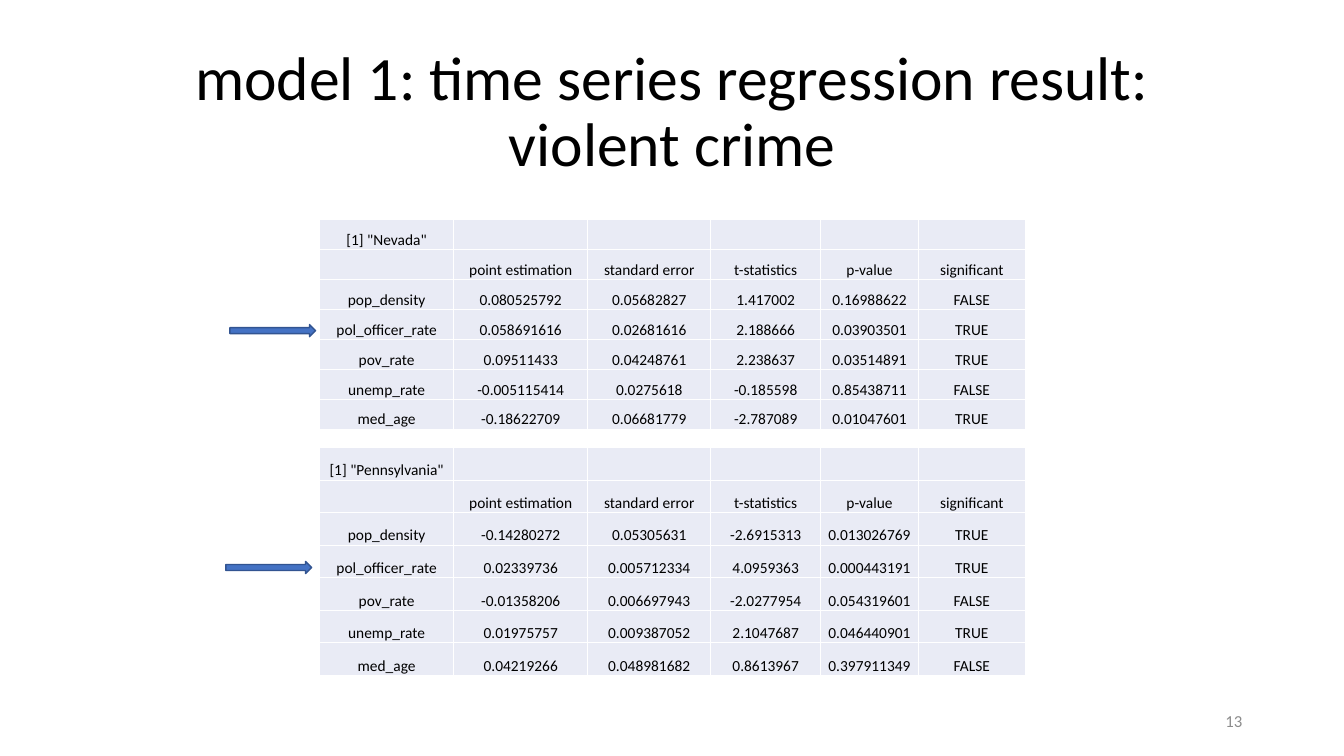
"""Build a slide with two regression result tables and arrows marking the police officer rate."""
from lxml.etree import SubElement
from pptx import Presentation
from pptx.dml.color import RGBColor
from pptx.enum.shapes import MSO_SHAPE
from pptx.enum.text import MSO_ANCHOR, PP_ALIGN
from pptx.oxml.ns import qn
from pptx.util import Inches, Pt

THEME = dict(font="Calibri", title=44, number=12, cell=11, ink="000000", muted="8C8C8C",
             band="E9EBF5", grid="FFFFFF", arrow="4472C4", edge="325491")
TITLE = "model 1: time series regression result:\nviolent crime"
NUMBER = "13"
HEADER = ["", "point estimation", "standard error", "t-statistics", "p-value", "significant"]
MARKED = "pol_officer_rate"
RESULTS = [
    dict(state="Nevada", top=2.18, height=2.08, arrow_left=2.28, rows=[
        ("pop_density", "0.080525792", "0.05682827", "1.417002", "0.16988622", "FALSE"),
        ("pol_officer_rate", "0.058691616", "0.02681616", "2.188666", "0.03903501", "TRUE"),
        ("pov_rate", "0.09511433", "0.04248761", "2.238637", "0.03514891", "TRUE"),
        ("unemp_rate", "-0.005115414", "0.0275618", "-0.185598", "0.85438711", "FALSE"),
        ("med_age", "-0.18622709", "0.06681779", "-2.787089", "0.01047601", "TRUE"),
    ]),
    dict(state="Pennsylvania", top=4.44, height=2.26, arrow_left=2.24, rows=[
        ("pop_density", "-0.14280272", "0.05305631", "-2.6915313", "0.013026769", "TRUE"),
        ("pol_officer_rate", "0.02339736", "0.005712334", "4.0959363", "0.000443191", "TRUE"),
        ("pov_rate", "-0.01358206", "0.006697943", "-2.0277954", "0.054319601", "FALSE"),
        ("unemp_rate", "0.01975757", "0.009387052", "2.1047687", "0.046440901", "TRUE"),
        ("med_age", "0.04219266", "0.048981682", "0.8613967", "0.397911349", "FALSE"),
    ]),
]
TABLE_LEFT = 3.17
COLUMNS = [1.33, 1.33, 1.22, 1.09, 0.97, 1.06]
ARROW_W, ARROW_H = 0.85, 0.12


def color(name):
    return RGBColor.from_string(THEME[name])


def write(tf, text, size, ink="ink", align=PP_ALIGN.CENTER, spacing=None):
    p = tf.paragraphs[0]
    p.text = text
    p.alignment = align
    p.line_spacing = spacing
    for r in p.runs:
        r.font.name = THEME["font"]
        r.font.size = Pt(THEME[size])
        r.font.color.rgb = color(ink)
    if not text:
        SubElement(p._p, qn("a:endParaRPr"), sz=str(THEME[size] * 100))


def add_text(slide, box, text, size, **fmt):
    tf = slide.shapes.add_textbox(*map(Inches, box)).text_frame
    tf.word_wrap = True
    tf.vertical_anchor = MSO_ANCHOR.MIDDLE
    write(tf, text, size, **fmt)


def style_cell(cell):
    cell.vertical_anchor = MSO_ANCHOR.BOTTOM
    cell.margin_left = cell.margin_right = cell.margin_top = Inches(0.01)
    cell.margin_bottom = 0
    tcPr = cell._tc.get_or_add_tcPr()
    for side in ("lnL", "lnR", "lnT", "lnB"):
        ln = SubElement(tcPr, qn(f"a:{side}"), w=str(Pt(1)))
        SubElement(SubElement(ln, qn("a:solidFill")), qn("a:srgbClr"), val=THEME["grid"])
    cell.fill.solid()
    cell.fill.fore_color.rgb = color("band")


def add_result(slide, result):
    label = f'[1] "{result["state"]}"'
    grid = [[label] + [""] * (len(COLUMNS) - 1), HEADER, *result["rows"]]
    row_h = result["height"] / len(grid)
    table = slide.shapes.add_table(
        len(grid), len(COLUMNS), Inches(TABLE_LEFT), Inches(result["top"]),
        Inches(sum(COLUMNS)), Inches(result["height"])).table
    table.first_row = table.horz_banding = False
    for column, width in zip(table.columns, COLUMNS):
        column.width = Inches(width)
    for i, values in enumerate(grid):
        table.rows[i].height = Inches(row_h)
        for j, value in enumerate(values):
            cell = table.cell(i, j)
            style_cell(cell)
            write(cell.text_frame, value, "cell")
    marked = [values[0] for values in grid].index(MARKED)
    add_arrow(slide, result["arrow_left"], result["top"] + (marked + 0.5) * row_h)


def add_arrow(slide, left, top):
    sp = slide.shapes.add_shape(MSO_SHAPE.RIGHT_ARROW, *map(Inches, (left, top, ARROW_W, ARROW_H)))
    sp.shadow.inherit = False
    sp.fill.solid()
    sp.fill.fore_color.rgb = color("arrow")
    sp.line.color.rgb = color("edge")
    sp.line.width = Pt(1)


prs = Presentation()
prs.slide_width, prs.slide_height = Inches(13.33), Inches(7.5)
slide = prs.slides.add_slide(prs.slide_layouts[6])
add_text(slide, (0.92, 0.4, 11.5, 1.45), TITLE, "title", spacing=0.9)
for result in RESULTS:
    add_result(slide, result)
add_text(slide, (9.42, 6.95, 3, 0.4), NUMBER, "number", ink="muted", align=PP_ALIGN.RIGHT)
prs.save("out.pptx")
